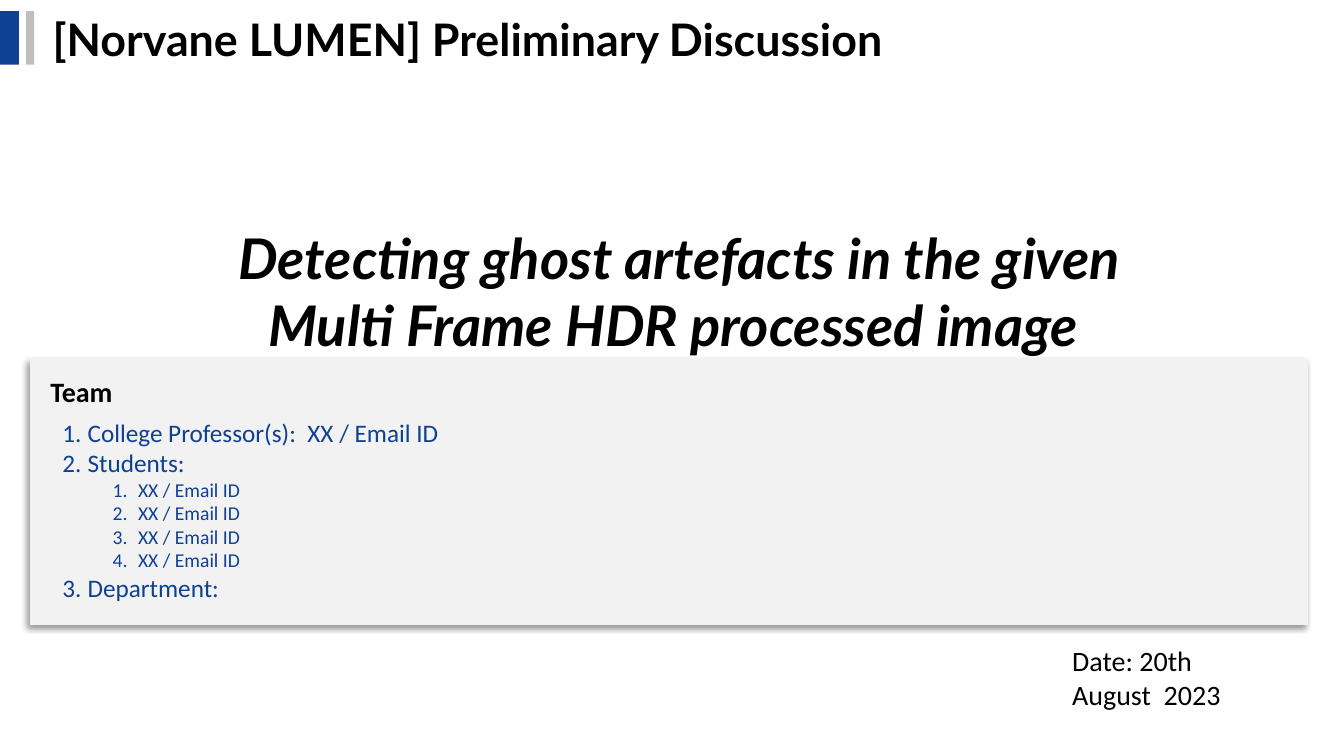
from dataclasses import dataclass

from lxml import etree
from pptx import Presentation
from pptx.dml.color import RGBColor
from pptx.enum import shapes, text
from pptx.oxml import ns
from pptx.util import Cm, Pt

COLOURS = {"ink": "000000", "blue": "0E4094", "grey": "BFBFBF", "panel": "F2F2F2"}


@dataclass
class Frame:
    left: float
    top: float
    width: float
    height: float


@dataclass
class Block:
    frame: Frame
    fill: str
    shadow: bool = False


@dataclass
class Label:
    frame: Frame
    wording: str
    size: int
    font: str = "Calibri"
    bold: bool = False
    italic: bool = False
    wrap: bool = True
    align: text.PP_ALIGN = text.PP_ALIGN.LEFT
    anchor: text.MSO_ANCHOR = text.MSO_ANCHOR.MIDDLE


@dataclass
class Entry:
    wording: str
    level: int = 0


BLOCKS = [
    Block(Frame(0.76, 9.04, 32.21, 6.71), "panel", shadow=True),
    Block(Frame(0, 0.28, 0.48, 1.35), "blue"),
    Block(Frame(0.66, 0.28, 0.2, 1.35), "grey"),
]
TITLE = Label(Frame(1.07, 0.15, 26.11, 1.63), "[Norvane LUMEN] Preliminary Discussion",
              32, "Lato", bold=True)
LABELS = [
    Label(Frame(1.02, 9.3, 2.13, 1.12), "Team", 20, bold=True, wrap=False,
          anchor=text.MSO_ANCHOR.TOP),
    Label(Frame(26.77, 16.08, 5.64, 1.96), "Date: 20th August  2023", 20),
    Label(Frame(3.91, 5.49, 26.11, 3.68),
          " Detecting ghost artefacts in the given Multi Frame HDR processed image",
          40, "Lato", bold=True, italic=True, align=text.PP_ALIGN.CENTER),
]
TEAM_FRAME = Frame(1.32, 10.39, 30.25, 4.95)
TEAM = [
    Entry("College Professor(s):  XX / Email ID"),
    Entry("Students:"),
    *[Entry("XX / Email ID", level=1)] * 4,
    Entry("Department:"),
]
LEVEL_SIZES = [18, 14]
LEVEL_INDENTS = [0.64, 1.91]


def colour(name: str) -> RGBColor:
    return RGBColor.from_string(COLOURS[name])


def place(shape, frame: Frame) -> None:
    shape.left, shape.top = Cm(frame.left), Cm(frame.top)
    shape.width, shape.height = Cm(frame.width), Cm(frame.height)


def add_span(para, wording: str, size: int, font: str, ink: str):
    span = para.add_run()
    span.text = wording
    span.font.size = Pt(size)
    span.font.name = font
    span.font.color.rgb = colour(ink)
    return span


def add_shadow(shape) -> None:
    effects = shape._element.spPr.find(ns.qn("a:effectLst"))
    shadow = etree.SubElement(effects, ns.qn("a:outerShdw"), blurRad=str(Pt(4)),
                              dist=str(Pt(3)), dir=str(135 * 60000), rotWithShape="0")
    tint = etree.SubElement(shadow, ns.qn("a:srgbClr"), val=COLOURS["ink"])
    etree.SubElement(tint, ns.qn("a:alpha"), val="40000")


def add_block(page, block: Block) -> None:
    shape = page.shapes.add_shape(shapes.MSO_SHAPE.RECTANGLE, 0, 0, 0, 0)
    place(shape, block.frame)
    shape.shadow.inherit = False
    shape.fill.solid()
    shape.fill.fore_color.rgb = colour(block.fill)
    shape.line.fill.background()
    if block.shadow:
        add_shadow(shape)


def write_label(box, label: Label) -> None:
    place(box, label.frame)
    body = box.text_frame
    body.word_wrap = label.wrap
    body.auto_size = text.MSO_AUTO_SIZE.NONE
    body.vertical_anchor = label.anchor
    para = body.paragraphs[0]
    para.alignment = label.align
    para.line_spacing = 1.0
    span = add_span(para, label.wording, label.size, label.font, "ink")
    span.font.bold = label.bold
    span.font.italic = label.italic


def add_team(page, frame: Frame, entries: list[Entry]) -> None:
    box = page.shapes.add_textbox(0, 0, 0, 0)
    place(box, frame)
    body = box.text_frame
    body.word_wrap = True
    for index, entry in enumerate(entries):
        para = body.add_paragraph() if index else body.paragraphs[0]
        para.level = entry.level
        settings = para._p.get_or_add_pPr()
        settings.set("marL", str(Cm(LEVEL_INDENTS[entry.level])))
        settings.set("indent", str(-Cm(LEVEL_INDENTS[0])))
        etree.SubElement(settings, ns.qn("a:buFont"), typeface="+mj-lt")
        etree.SubElement(settings, ns.qn("a:buAutoNum"), type="arabicPeriod")
        add_span(para, entry.wording, LEVEL_SIZES[entry.level], "Calibri", "blue")


def main() -> None:
    deck = Presentation()
    deck.slide_width, deck.slide_height = Cm(33.87), Cm(19.05)
    page = deck.slides.add_slide(deck.slide_layouts.get_by_name("Title Only"))
    for block in BLOCKS:
        add_block(page, block)
    write_label(page.shapes.title, TITLE)
    add_team(page, TEAM_FRAME, TEAM)
    for label in LABELS:
        write_label(page.shapes.add_textbox(0, 0, 0, 0), label)
    deck.save("out.pptx")


if __name__ == "__main__":
    main()
